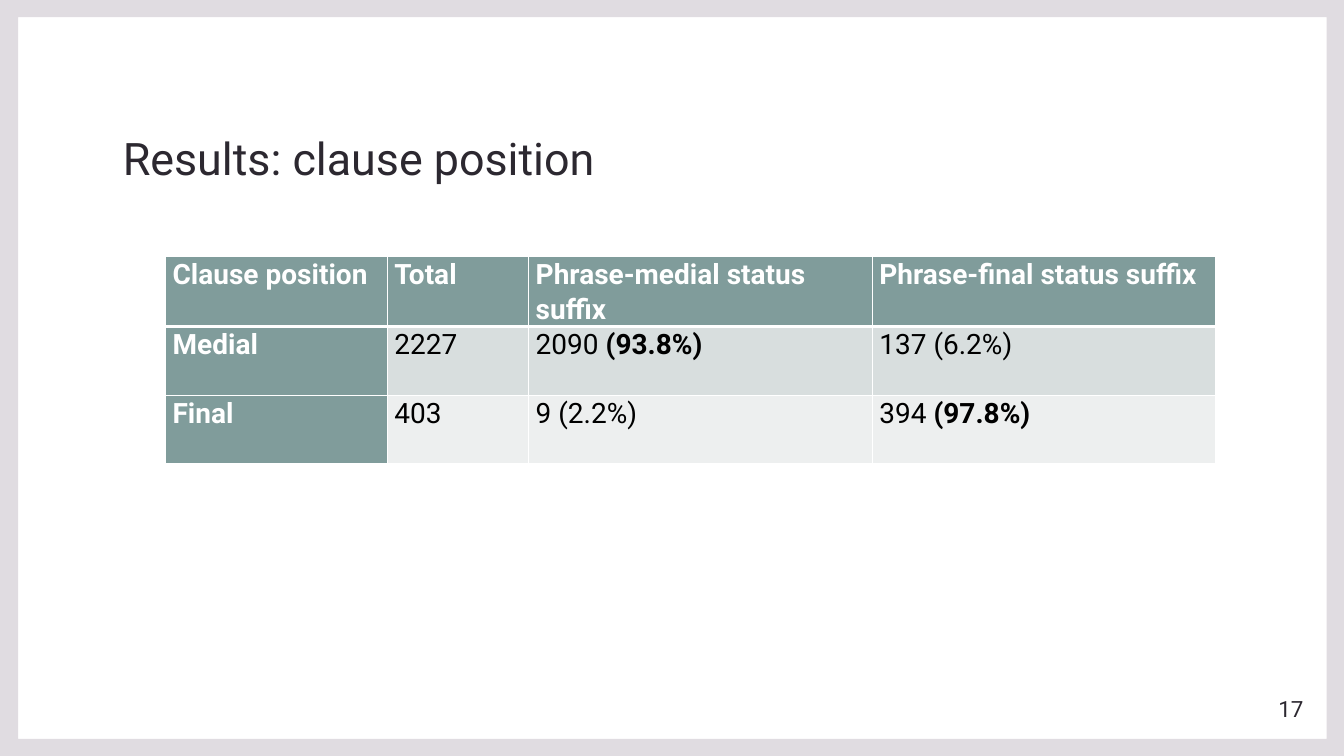
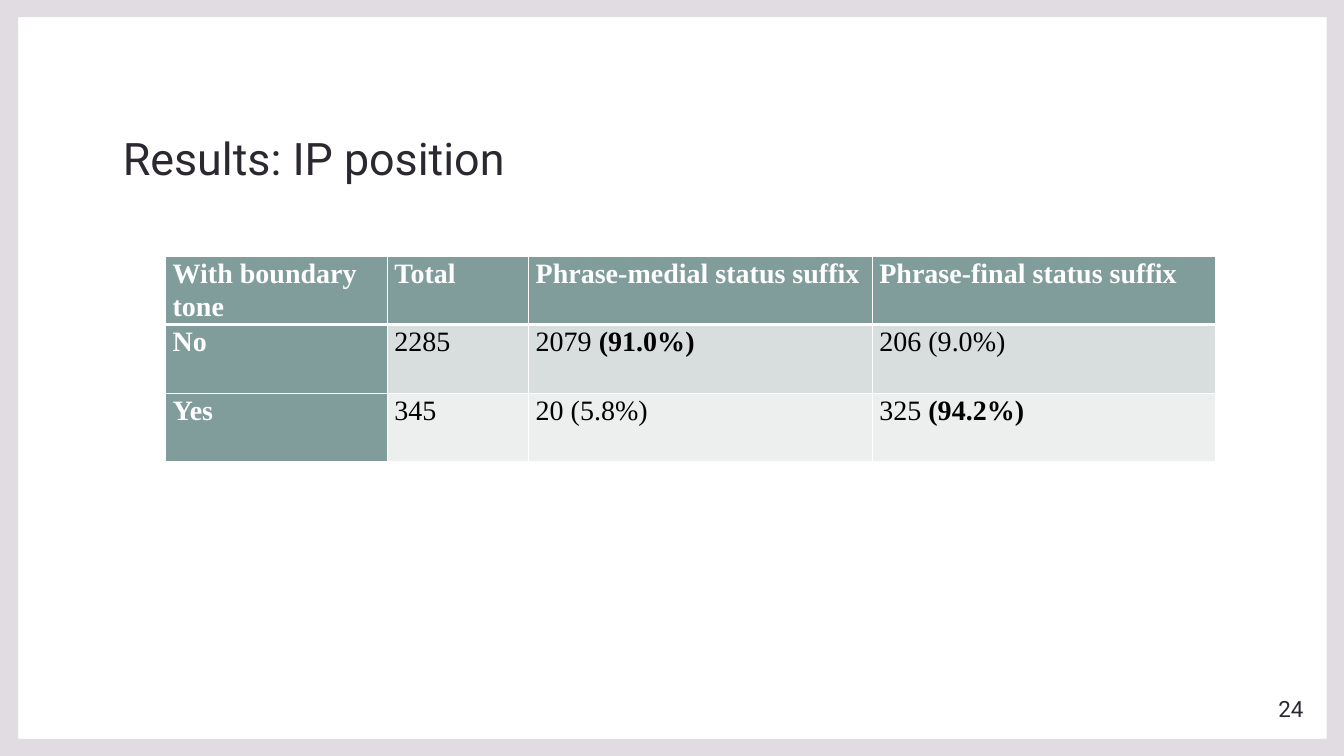
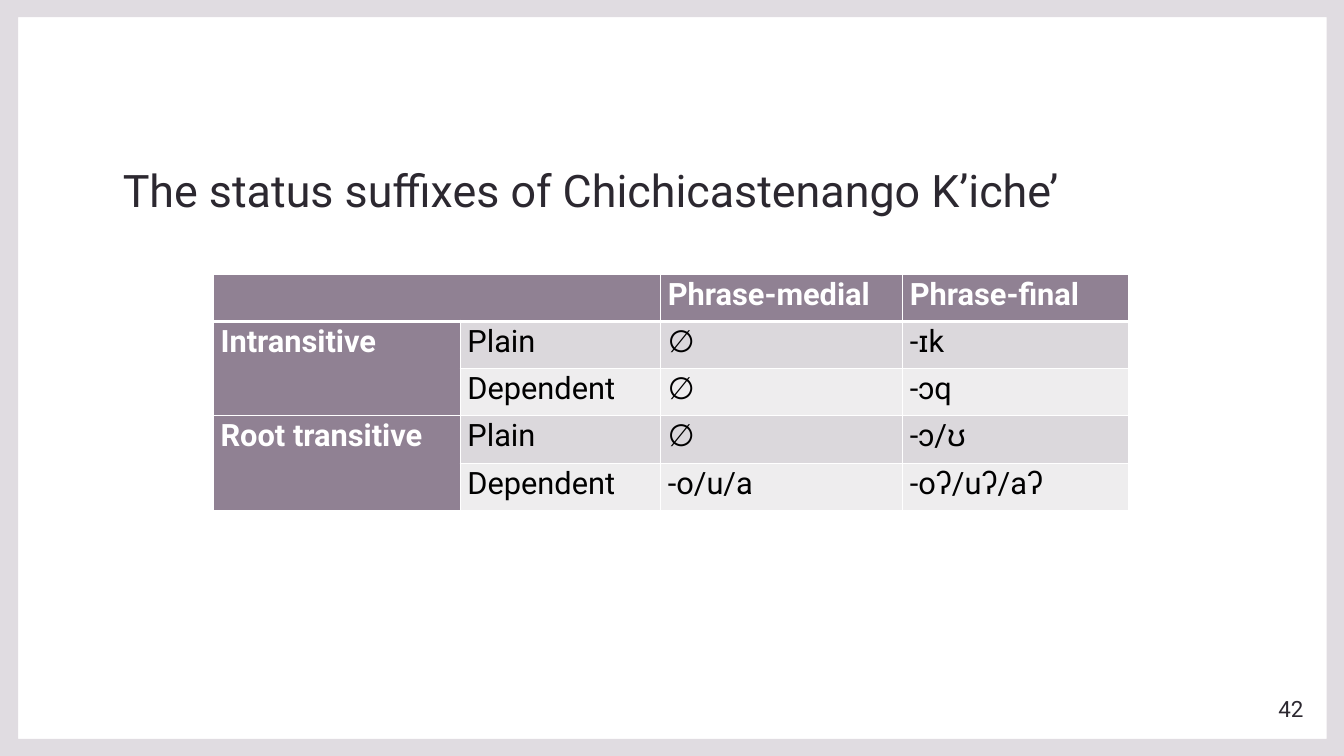
from lxml.etree import SubElement
from pptx import Presentation
from pptx.dml.color import RGBColor as Color
from pptx.enum.text import MSO_ANCHOR as Anchor, MSO_AUTO_SIZE as AutoSize, PP_ALIGN as Align
from pptx.oxml.ns import qn
from pptx.util import Cm, Pt

COLORS = {
    "frame": "E0DCE1", "ink": "2C2830", "white": "FFFFFF", "black": "000000",
    "teal": "809C9B", "teal_dark": "D8DEDE", "teal_light": "EDEFEF",
    "plum": "908193", "plum_dark": "DBD8DC", "plum_light": "EEEDEE",
}

# Texts: a cell given as a pair has a bold second part; None leaves a cell empty
STATUS_HEADS = ["Total", "Phrase-medial status suffix", "Phrase-final status suffix"]
RESULTS_TABLE = {
    "left": 4.17, "top": 6.45, "columns": [5.59, 3.56, 8.66, 8.66], "row_height": 1.73,
    "size": 20, "palette": "teal", "merges": [],
}
SLIDES = [
    {
        **RESULTS_TABLE, "title": "Results: clause position", "title_top": 1.19,
        "number": "17", "font": "Roboto",
        "rows": [
            ["Clause position", *STATUS_HEADS],
            ["Medial", "2227", ("2090 ", "(93.8%)"), "137 (6.2%)"],
            ["Final", "403", "9 (2.2%)", ("394 ", "(97.8%)")],
        ],
    },
    {
        **RESULTS_TABLE, "title": "Results: IP position", "title_top": 1.19,
        "number": "24", "font": "Times New Roman",
        "rows": [
            ["With boundary tone", *STATUS_HEADS],
            ["No", "2285", ("2079 ", "(91.0%)"), "206 (9.0%)"],
            ["Yes", "345", "20 (5.8%)", ("325 ", "(94.2%)")],
        ],
    },
    {
        "title": "The status suffixes of Chichicastenango K’iche’", "title_top": 2.01,
        "number": "42", "font": "Roboto", "left": 5.38, "top": 6.91,
        "columns": [6.22, 5.05, 6.1, 5.69], "row_height": 1.19, "size": 22,
        "palette": "plum", "merges": [((0, 0), (0, 1)), ((1, 0), (2, 0)), ((3, 0), (4, 0))],
        "rows": [
            [None, None, "Phrase-medial", "Phrase-final"],
            ["Intransitive", "Plain", "∅", "-ɪk"],
            [None, "Dependent", "∅", "-ɔq"],
            ["Root transitive", "Plain", "∅", "-ɔ/ʊ"],
            [None, "Dependent", "-o/u/a", "-oʔ/uʔ/aʔ"],
        ],
    },
]


def add_run(paragraph, text, color, **font_format):
    run = paragraph.add_run()
    run.text = text
    run.font.color.rgb = Color.from_string(COLORS[color])
    for name, value in font_format.items():
        setattr(run.font, name, value)


def add_border(cell, side, points):
    line = SubElement(cell._tc.get_or_add_tcPr(), qn(f"a:ln{side}"), w=str(Pt(points)))
    fill = SubElement(line, qn("a:solidFill"))
    SubElement(fill, qn("a:srgbClr"), val=COLORS["white"])


presentation = Presentation()
presentation.slide_width, presentation.slide_height = Cm(33.87), Cm(19.05)
layout = presentation.slide_layouts[5]

for number, content in enumerate(SLIDES):
    slide = presentation.slides.add_slide(layout)

    # Frame around the page, drawn once and moved to the layout
    if number == 0:
        outline = slide.shapes.build_freeform(Cm(0.46), Cm(0.43))
        outline.add_line_segments([(Cm(x), Cm(y)) for x, y in
                                   [(0.46, 18.62), (33.43, 18.62), (33.43, 0.43)]])
        outline.move_to(0, 0)
        outline.add_line_segments([(Cm(x), Cm(y)) for x, y in
                                   [(33.87, 0), (33.87, 19.05), (0, 19.05)]])
        frame = outline.convert_to_shape()
        frame.shadow.inherit = False
        frame.fill.solid()
        frame.fill.fore_color.rgb = Color.from_string(COLORS["frame"])
        frame.line.fill.background()
        layout.shapes.element.insert(2, frame.element)

    # Title and page number
    title = slide.shapes.title
    title.left, title.top = Cm(2.84), Cm(content["title_top"])
    title.width, title.height = Cm(28.14), Cm(3.58)
    page_number = slide.shapes.add_textbox(Cm(31.65), Cm(17.35), Cm(1.45), Cm(1.02))
    for shape, text, size, anchor, align, spacing in [
        (title, content["title"], 32, Anchor.BOTTOM, Align.LEFT, 1.1),
        (page_number, content["number"], 16, Anchor.MIDDLE, Align.RIGHT, 1.0),
    ]:
        frame_format = {"word_wrap": True, "auto_size": AutoSize.NONE, "vertical_anchor": anchor}
        for name, value in frame_format.items():
            setattr(shape.text_frame, name, value)
        paragraph = shape.text_frame.paragraphs[0]
        paragraph.alignment, paragraph.line_spacing = align, spacing
        add_run(paragraph, text, "ink", size=Pt(size), name="Roboto")

    # Table grid
    rows, columns = content["rows"], content["columns"]
    table = slide.shapes.add_table(
        len(rows), len(columns), Cm(content["left"]), Cm(content["top"]),
        Cm(sum(columns)), Cm(content["row_height"] * len(rows))).table
    table.first_row = table.horz_banding = False
    for column, width in zip(table.columns, columns):
        column.width = Cm(width)
    for row in table.rows:
        row.height = Cm(content["row_height"])
    for first, last in content["merges"]:
        table.cell(*first).merge(table.cell(*last))

    # Table cells
    margins = {"margin_left": Cm(0.18), "margin_right": Cm(0.18),
               "margin_top": 0, "margin_bottom": 0}
    for row_index, row in enumerate(rows):
        for column_index, text in enumerate(row):
            cell = table.cell(row_index, column_index)
            is_head = row_index == 0 or column_index == 0
            for name, value in margins.items():
                setattr(cell, name, value)
            for side in "LRTB":
                under_head = (row_index, side) in [(0, "B"), (1, "T")]
                add_border(cell, side, 3 if under_head else 1)
            band = "" if is_head else "_dark" if row_index % 2 else "_light"
            cell.fill.solid()
            cell.fill.fore_color.rgb = Color.from_string(COLORS[content["palette"] + band])
            if text is None:
                continue
            paragraph = cell.text_frame.paragraphs[0]
            paragraph.line_spacing = 1.07
            parts = (text,) if isinstance(text, str) else text
            for part_index, part in enumerate(parts):
                add_run(paragraph, part, "white" if is_head else "black",
                        size=Pt(content["size"]), name=content["font"],
                        bold=is_head or part_index == 1)

presentation.save("out.pptx")
